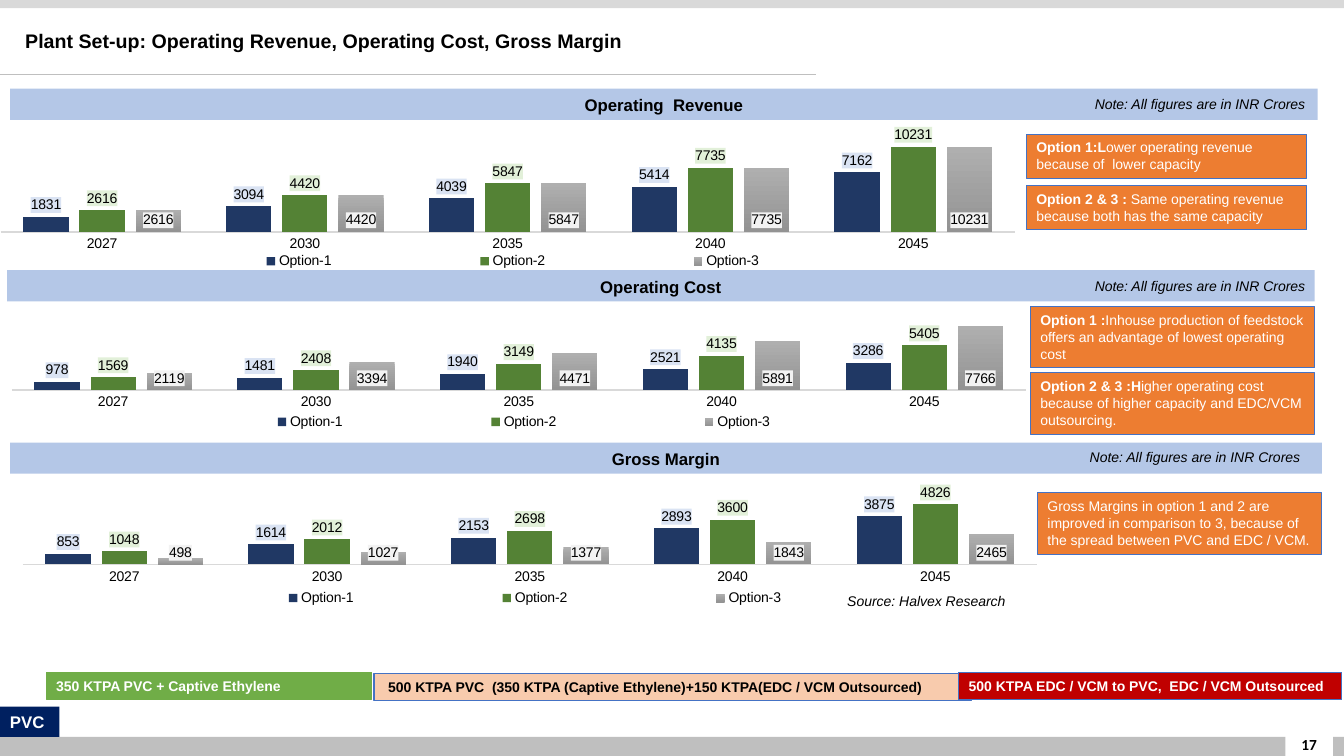
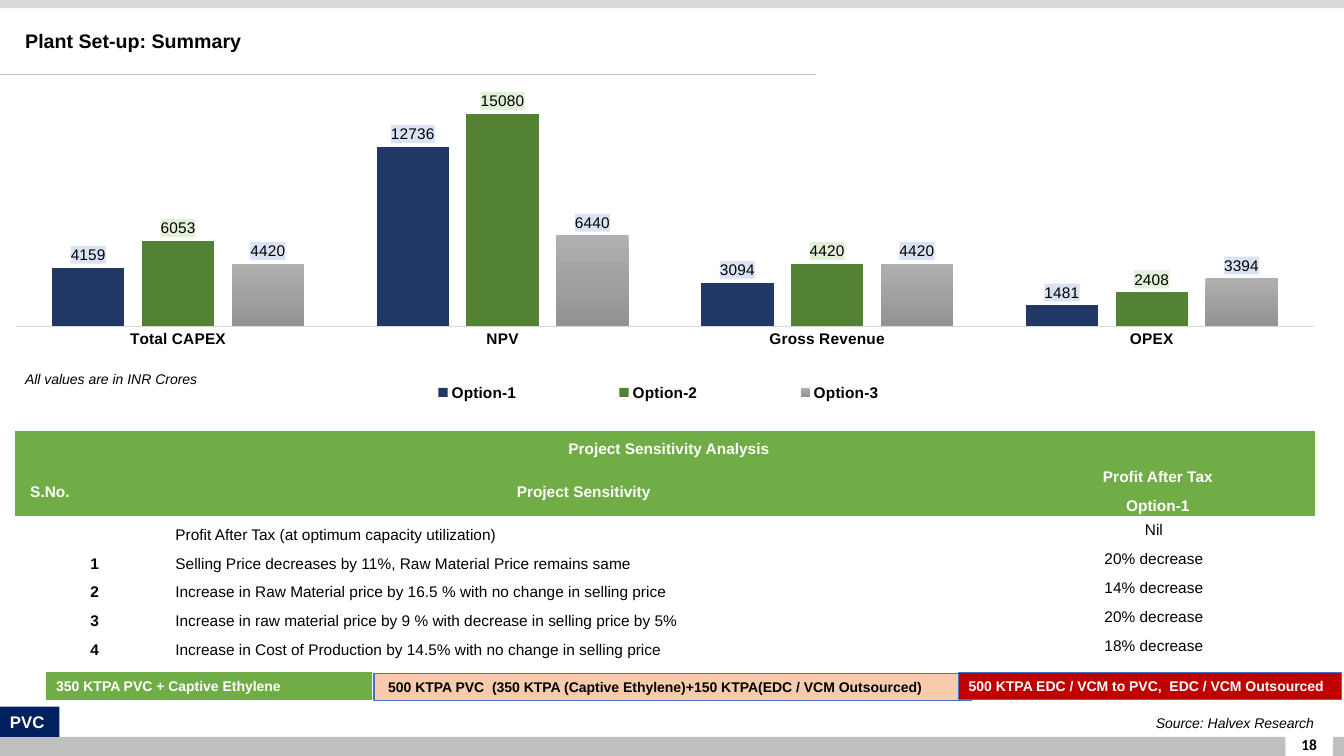
from lxml import etree
from pptx import Presentation
from pptx.chart.data import CategoryChartData
from pptx.dml.color import RGBColor
from pptx.enum.chart import XL_CHART_TYPE, XL_LABEL_POSITION, XL_LEGEND_POSITION, XL_TICK_MARK
from pptx.enum.shapes import MSO_CONNECTOR, MSO_SHAPE
from pptx.enum.text import MSO_ANCHOR, MSO_AUTO_SIZE, PP_ALIGN
from pptx.oxml import parse_xml
from pptx.oxml.ns import nsdecls, qn
from pptx.util import Inches, Pt

LEFT, CENTER, RIGHT = PP_ALIGN.LEFT, PP_ALIGN.CENTER, PP_ALIGN.RIGHT
TOP, MIDDLE = MSO_ANCHOR.TOP, MSO_ANCHOR.MIDDLE
OUTSIDE, INSIDE_BASE = XL_LABEL_POSITION.OUTSIDE_END, XL_LABEL_POSITION.INSIDE_BASE
COLUMNS = XL_CHART_TYPE.COLUMN_CLUSTERED
NO_TICKS = XL_TICK_MARK.NONE
BOTTOM = XL_LEGEND_POSITION.BOTTOM
RECTANGLE = MSO_SHAPE.RECTANGLE
STRAIGHT = MSO_CONNECTOR.STRAIGHT
FIT_SHAPE, FIXED = MSO_AUTO_SIZE.SHAPE_TO_FIT_TEXT, MSO_AUTO_SIZE.NONE
PLAIN_TABLE = "{2D5ABB26-0587-4C30-8999-92F81FD0307C}"

COLORS = {
    "black": "000000", "white": "FFFFFF", "silver": "BFBFBF", "pale": "D9D9D9",
    "band": "B4C7E7", "orange": "ED7D31", "blue": "4472C4", "green": "70AD47",
    "peach": "F8CBAD", "red": "C00000", "navy": "002060",
    "option1": "203864", "option2": "548235", "option3_top": "AFAFAF", "option3_end": "939393",
    "tint1": "DAE3F3", "tint2": "E2F0D9", "tint3": "F2F2F2",
}
SOURCE = "Source: Halvex Research"
NOTE = "Note: All figures are in INR Crores"
YEARS = ["2027", "2030", "2035", "2040", "2045"]
YEARLY = [
    dict(title="Operating  Revenue", band=(0.1, 0.88, 12.97), note=(10.76, 0.89),
         chart=(0, 1.11, 10.07, 1.83), plot_height=0.543, legend_middle=0.81, top_value=12000,
         values=[[1831, 3094, 4039, 5414, 7162], [2616, 4420, 5847, 7735, 10231],
                 [2616, 4420, 5847, 7735, 10231]]),
    dict(title="Operating Cost", band=(0.07, 2.68, 12.97), note=(10.76, 2.69),
         chart=(0.11, 2.94, 10.07, 1.73), plot_height=0.429, legend_middle=0.72, top_value=9000,
         values=[[978, 1481, 1940, 2521, 3286], [1569, 2408, 3149, 4135, 5405],
                 [2119, 3394, 4471, 5891, 7766]]),
    dict(title="Gross Margin", band=(0.1, 4.39, 13.01), note=(10.71, 4.39),
         chart=(0.22, 4.67, 10.07, 1.73), plot_height=0.429, legend_middle=0.73, top_value=6000,
         values=[[853, 1614, 2153, 2893, 3875], [1048, 2012, 2698, 3600, 4826],
                 [498, 1027, 1377, 1843, 2465]]),
]
REMARKS = [
    ((10.18, 1.33, 2.78, 0.44), "Option 1:L", "ower operating revenue because of  lower capacity"),
    ((10.18, 1.84, 2.78, 0.44), "Option 2 & 3 : ",
     "Same operating revenue because both has the same capacity"),
    ((10.22, 3.04, 2.82, 0.61), "Option 1 :",
     "Inhouse production of feedstock offers an advantage of lowest operating cost"),
    ((10.22, 3.7, 2.82, 0.61), "Option 2 & 3 :H",
     "igher operating cost because of higher capacity and EDC/VCM outsourcing."),
    ((10.29, 4.89, 2.82, 0.61), "",
     "Gross Margins in option 1 and 2 are improved in comparison to 3, "
     "because of the spread between PVC and EDC / VCM."),
]
SENSITIVITY = [
    ("", "Profit After Tax (at optimum capacity utilization)", "Nil"),
    ("1", "Selling Price decreases by 11%, Raw Material Price remains same", "20% decrease"),
    ("2", "Increase in Raw Material price by 16.5 % with no change in selling price", "14% decrease"),
    ("3", "Increase in raw material price by 9 % with decrease in selling price by 5%", "20% decrease"),
    ("4", "Increase in Cost of Production by 14.5% with no change in selling price", "18% decrease"),
]


def rgb(name):
    return RGBColor.from_string(COLORS[name])


def style_font(font, size, color="black", bold=False, italic=False, face="Arial"):
    font.size, font.name, font.bold, font.italic = Pt(size), face, bold, italic
    font.color.rgb = rgb(color)


def write(frame, text, size=10, color="black", bold=False, italic=False, face="Arial",
          align=LEFT, anchor=TOP, spacing=1.0, after=0, lead=""):
    frame.word_wrap = True
    frame.vertical_anchor = anchor
    paragraph = frame.paragraphs[0]
    paragraph.alignment, paragraph.line_spacing = align, spacing
    paragraph.space_before, paragraph.space_after = Pt(0), Pt(after)
    for words, weight in ((lead, True), (text, bold)):
        if words:
            run = paragraph.add_run()
            run.text = words
            style_font(run.font, size, color, weight, italic, face)
    if not text:
        paragraph._p.get_or_add_endParaRPr().set("sz", str(size * 100))


def add_box(slide, place, fill, text="", line=None, inset=0.1, **text_format):
    box = slide.shapes.add_shape(RECTANGLE, *map(Inches, place))
    box.shadow.inherit = False
    box.fill.solid()
    box.fill.fore_color.rgb = rgb(fill)
    if line:
        box.line.color.rgb = rgb(line)
        box.line.width = Pt(0.75)
    else:
        box.line.fill.background()
    if text:
        write(box.text_frame, text, **text_format)
        box.text_frame.margin_left = Inches(inset)
        box.text_frame.auto_size = FIT_SHAPE


def add_label(slide, place, text, auto_size=FIT_SHAPE, **text_format):
    frame = slide.shapes.add_textbox(*map(Inches, place)).text_frame
    write(frame, text, **text_format)
    frame.auto_size = auto_size


def add_caption(slide, place, text, align=LEFT):
    add_label(slide, place, text, italic=True, align=align, spacing=1.07, after=8)


def add_base(deck, title, number):
    slide = deck.slides.add_slide(deck.slide_layouts[5])
    add_box(slide, (-0.05, 7.31, 13.4, 0.19), "silver")
    add_box(slide, (0, 0, 13.36, 0.08), "pale")
    add_box(slide, (12.75, 7.13, 0.47, 0.38), "white")
    add_label(slide, (12.66, 7.18, 0.65, 0.4), number, auto_size=FIXED, size=11,
              face="Calibri", bold=True, align=CENTER, anchor=MIDDLE)
    rule = slide.shapes.add_connector(STRAIGHT, 0, Inches(0.74), Inches(8.09), Inches(0.74))
    rule.line.color.rgb = rgb("silver")
    rule.line.width = Pt(0.5)
    etree.SubElement(rule._element.spPr, qn("a:effectLst"))
    heading = slide.shapes.title
    heading.left, heading.top, heading.width, heading.height = map(Inches, (0.15, 0.17, 8.11, 0.5))
    write(heading.text_frame, title, size=14, bold=True, anchor=MIDDLE, spacing=0.9)
    return slide


def add_footer(slide):
    add_box(slide, (0.46, 6.67, 3.23, 0.27), "green", "350 KTPA PVC + Captive Ethylene",
            line="green", color="white", bold=True)
    add_box(slide, (3.71, 6.68, 5.93, 0.27), "peach",
            "500 KTPA PVC  (350 KTPA (Captive Ethylene)+150 KTPA(EDC / VCM Outsourced)",
            line="blue", inset=0.14, bold=True)
    add_box(slide, (9.51, 6.67, 3.8, 0.27), "red",
            "500 KTPA EDC / VCM to PVC,  EDC / VCM Outsourced",
            line="blue", color="white", bold=True)
    add_box(slide, (0, 7.01, 0.59, 0.3), "navy", "PVC", size=12, color="white", bold=True)


def set_layout(parent, index, x, y, width, height, inner=False):
    for old in parent.findall(qn("c:layout")):
        parent.remove(old)
    target = '<c:layoutTarget val="inner"/>' if inner else ""
    parent.insert(index, parse_xml(
        f'<c:layout {nsdecls("c")}><c:manualLayout>{target}'
        '<c:xMode val="edge"/><c:yMode val="edge"/>'
        f'<c:x val="{x:.3f}"/><c:y val="{y:.3f}"/><c:w val="{width:.3f}"/><c:h val="{height:.3f}"/>'
        '</c:manualLayout></c:layout>'))


def fill_behind_text(parent, fill):
    parent.find(qn("c:txPr")).addprevious(
        parse_xml(f'<c:spPr {nsdecls("c", "a")}>{fill}</c:spPr>'))


def style_series(series, color, tint, position, size):
    if color == "option3":
        series.format.fill.gradient()
        series.format.fill.gradient_angle = 270
        for stop, shade in zip(series.format.fill.gradient_stops, ("option3_top", "option3_end")):
            stop.color.rgb = rgb(shade)
    else:
        series.format.fill.solid()
        series.format.fill.fore_color.rgb = rgb(color)
    series.invert_if_negative = False
    labels = series.data_labels
    labels.show_value = True
    labels.number_format, labels.number_format_is_linked = "0", False
    labels.position = position
    style_font(labels.font, size)
    fill_behind_text(labels._element,
                     f'<a:solidFill><a:srgbClr val="{COLORS[tint]}"/></a:solidFill>')


def add_columns(slide, place, categories, values, top_value, plot_top, plot_height, legend,
                size=10, bold=False, last_label=("tint3", INSIDE_BASE)):
    data = CategoryChartData(number_format="0")
    data.categories = categories
    for number, row in enumerate(values, 1):
        data.add_series(f"Option-{number}", row)
    chart = slide.shapes.add_chart(COLUMNS, *map(Inches, place), data).chart
    chart.has_title = False
    style_font(chart.font, size)
    fill_behind_text(chart._chartSpace, "<a:noFill/><a:ln><a:noFill/></a:ln>")
    plot = chart.plots[0]
    plot.gap_width, plot.overlap, plot.vary_by_categories = 100, -24, False
    looks = [("option1", "tint1", OUTSIDE), ("option2", "tint2", OUTSIDE), ("option3", *last_label)]
    for series, look in zip(plot.series, looks):
        style_series(series, *look, size)
    amounts = chart.value_axis
    amounts.minimum_scale, amounts.maximum_scale = 0, top_value
    amounts.has_major_gridlines = False
    amounts.visible = False
    periods = chart.category_axis
    periods.major_tick_mark = periods.minor_tick_mark = NO_TICKS
    periods.format.line.color.rgb = rgb("pale")
    periods.format.line.width = Pt(1)
    style_font(periods.tick_labels.font, size, bold=bold)
    chart.has_legend = True
    chart.legend.position = BOTTOM
    chart.legend.include_in_layout = False
    style_font(chart.legend.font, size, bold=bold)
    set_layout(chart._chartSpace.chart.plotArea, 0, 0, plot_top, 1, plot_height, inner=True)
    set_layout(chart.legend._element, 1, *legend)


def add_sensitivity_table(slide):
    widths, row_height = (1.5, 8.2, 3.19), 0.17
    head = [("Project Sensitivity Analysis", "", ""),
            ("S.No.", "Project Sensitivity", "Profit After Tax"), ("", "", "Option-1")]
    rows = head + SENSITIVITY
    table = slide.shapes.add_table(len(rows), len(widths), *map(
        Inches, (0.15, 4.28, sum(widths), row_height * len(rows)))).table
    table.first_row = table.horz_banding = False
    table._tbl.tblPr.find(qn("a:tableStyleId")).text = PLAIN_TABLE
    for column, width in zip(table.columns, widths):
        column.width = Inches(width)
    for r, row in enumerate(rows):
        in_head, spaced = r < len(head), r < 2
        for c, text in enumerate(row):
            cell = table.cell(r, c)
            result = c == 2 and not in_head
            side = 0.07 if spaced else 0.01
            cell.margin_left = Inches(side if result else side + 0.08)
            cell.margin_right = Inches(side)
            cell.margin_top, cell.margin_bottom = Inches(0 if spaced else 0.01), 0
            cell.vertical_anchor = MIDDLE
            if in_head:
                cell.fill.solid()
                cell.fill.fore_color.rgb = rgb("green")
            else:
                cell.fill.background()
            flush = text == "S.No." or (c == 1 and not in_head)
            write(cell.text_frame, text, size=11, color="white" if in_head else "black",
                  bold=in_head or c == 0, align=LEFT if flush else CENTER, anchor=MIDDLE,
                  spacing=1.0 if result else 1.5, after=8 if spaced and text else 0)
    table.cell(0, 0).merge(table.cell(0, 2))
    for c in (0, 1):
        table.cell(1, c).merge(table.cell(2, c))


def build_yearly(deck):
    slide = add_base(deck, "Plant Set-up: Operating Revenue, Operating Cost, Gross Margin", "17")
    add_caption(slide, (7.71, 5.82, 2.36, 0.27), SOURCE, align=RIGHT)
    for part in YEARLY:
        add_box(slide, (*part["band"], 0.31), "band", part["title"], size=12, bold=True,
                align=CENTER, spacing=1.07, after=8)
        add_columns(slide, part["chart"], YEARS, part["values"], part["top_value"], 0.109,
                    part["plot_height"], (0.12, part["legend_middle"] - 0.06, 0.77, 0.12))
        add_caption(slide, (*part["note"], 2.57, 0.27), NOTE)
    for place, lead, text in REMARKS:
        add_box(slide, place, "orange", text, line="blue", color="white", lead=lead)
    add_footer(slide)


def build_summary(deck):
    slide = add_base(deck, "Plant Set-up: Summary", "18")
    add_caption(slide, (10.86, 7.03, 2.27, 0.27), SOURCE, align=RIGHT)
    add_columns(slide, (0.15, 0.75, 12.89, 3.38), ["Total CAPEX", "NPV", "Gross Revenue", "OPEX"],
                [[4159, 12736, 3094, 1481], [6053, 15080, 4420, 2408], [4420, 6440, 4420, 3394]],
                16000, 0.074, 0.662, (0.25, 0.89, 0.49, 0.08), size=11, bold=True,
                last_label=("tint1", OUTSIDE))
    add_caption(slide, (0.15, 3.62, 2.27, 0.27), "All values are in INR Crores")
    add_sensitivity_table(slide)
    add_footer(slide)


def main():
    deck = Presentation()
    deck.slide_width, deck.slide_height = Inches(13.33), Inches(7.5)
    build_yearly(deck)
    build_summary(deck)
    deck.save("out.pptx")


if __name__ == "__main__":
    main()
